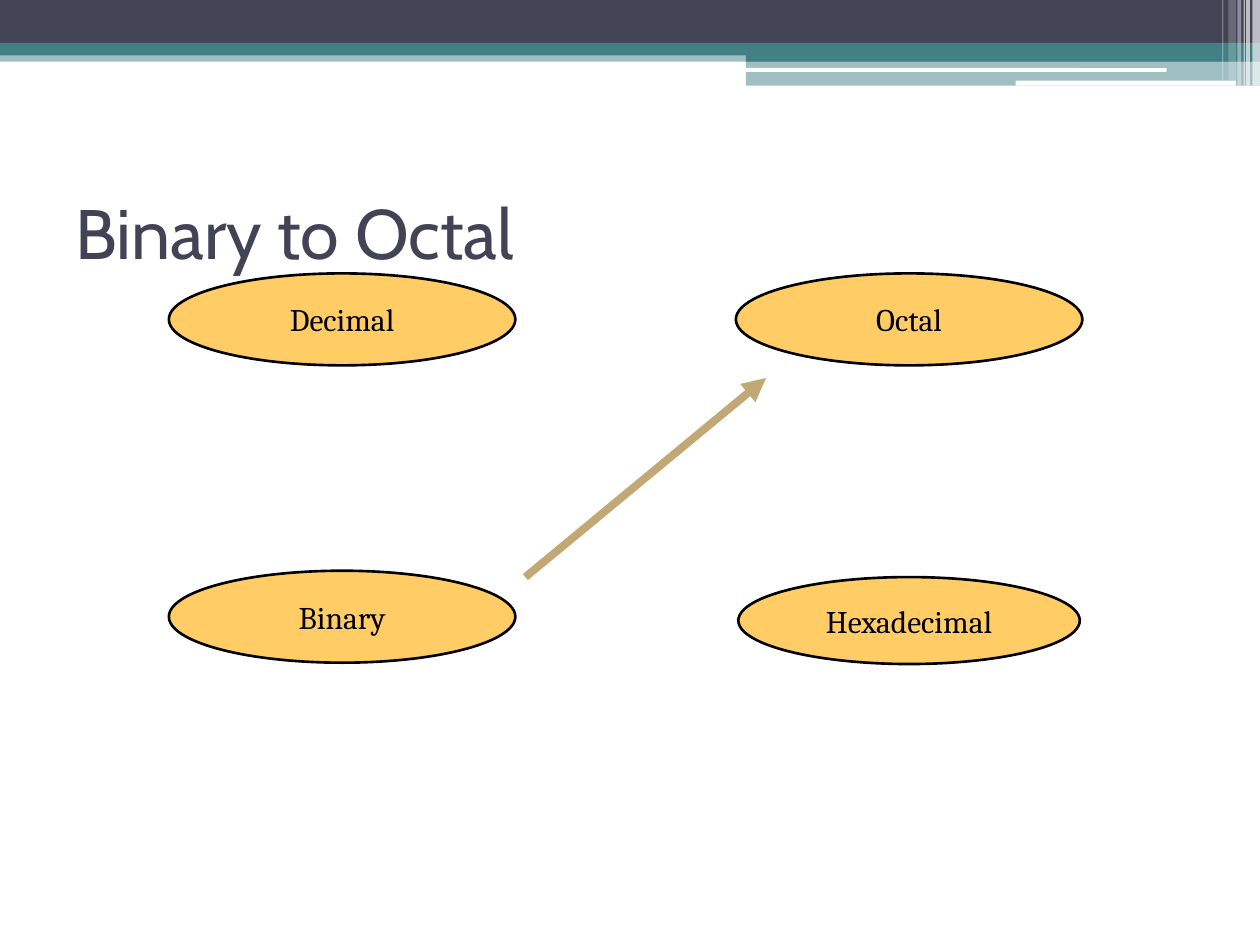
from dataclasses import dataclass

from lxml.etree import SubElement
from pptx import Presentation
from pptx.dml.color import RGBColor
from pptx.enum.shapes import MSO_CONNECTOR, MSO_SHAPE
from pptx.enum.text import MSO_ANCHOR, PP_ALIGN
from pptx.oxml.ns import qn
from pptx.slide import Slide
from pptx.util import Inches, Pt

SLATE = RGBColor(0x42, 0x44, 0x56)
TEAL = RGBColor(0x43, 0x80, 0x86)
WHITE = RGBColor(0xFF, 0xFF, 0xFF)
BLACK = RGBColor(0x00, 0x00, 0x00)
AMBER = RGBColor(0xFF, 0xCC, 0x66)
TAN = RGBColor(0xC2, 0xA8, 0x74)


@dataclass
class Band:
    left: float
    top: float
    width: float
    height: float
    color: RGBColor
    opacity: int = 100
    kind: MSO_SHAPE = MSO_SHAPE.RECTANGLE


@dataclass
class NumberSystem:
    name: str
    left: float
    top: float
    width: float = 2.75
    height: float = 0.73


BANDS = [
    Band(0, 0.4, 10, 0.09, TEAL, 50),
    Band(0, 0, 10, 0.34, SLATE),
    Band(0, 0.34, 10, 0.1, TEAL),
    Band(5.92, 0.39, 4.08, 0.1, TEAL),
    Band(5.92, 0.48, 4.08, 0.2, TEAL, 50),
    Band(5.91, 0.54, 3.35, 0.03, WHITE, kind=MSO_SHAPE.ROUNDED_RECTANGLE),
    Band(8.06, 0.64, 1.75, 0.04, WHITE, kind=MSO_SHAPE.ROUNDED_RECTANGLE),
    Band(9.94, 0, 0.06, 0.68, WHITE, 65),
    Band(9.89, 0, 0.03, 0.68, WHITE, 65),
    Band(9.87, 0, 0.01, 0.68, WHITE, 60),
    Band(9.82, 0, 0.03, 0.68, WHITE, 40),
    Band(9.75, 0, 0.06, 0.64, WHITE, 20),
    Band(9.7, 0, 0.01, 0.64, WHITE, 30),
]

SYSTEMS = [
    NumberSystem("Hexadecimal", 5.86, 4.58, 2.71, 0.69),
    NumberSystem("Decimal", 1.34, 2.17),
    NumberSystem("Octal", 5.84, 2.17),
    NumberSystem("Binary", 1.34, 4.53),
]


def draw_band(page: Slide, band: Band) -> None:
    shape = page.shapes.add_shape(
        band.kind, Inches(band.left), Inches(band.top), Inches(band.width), Inches(band.height)
    )
    shape.shadow.inherit = False
    shape.fill.solid()
    shape.fill.fore_color.rgb = band.color
    shape.line.fill.background()
    if band.opacity < 100:
        color = shape.fill._xPr.find(qn("a:solidFill"))[0]
        SubElement(color, qn("a:alpha"), val=str(band.opacity * 1000))


def draw_title(page: Slide, text: str) -> None:
    box = page.shapes.add_textbox(Inches(0.5), Inches(1.25), Inches(9), Inches(1.17))
    frame = box.text_frame
    frame.word_wrap = True
    frame.vertical_anchor = MSO_ANCHOR.MIDDLE
    para = frame.paragraphs[0]
    para.text = text
    para.font.name = "Cabin"
    para.font.size = Pt(40)
    para.font.color.rgb = SLATE


def draw_system(page: Slide, system: NumberSystem) -> None:
    oval = page.shapes.add_shape(
        MSO_SHAPE.OVAL,
        Inches(system.left), Inches(system.top), Inches(system.width), Inches(system.height),
    )
    oval.shadow.inherit = False
    oval.fill.solid()
    oval.fill.fore_color.rgb = AMBER
    oval.line.color.rgb = BLACK
    oval.line.width = Pt(1.5)
    frame = oval.text_frame
    frame.word_wrap = False
    frame.vertical_anchor = MSO_ANCHOR.MIDDLE
    para = frame.paragraphs[0]
    para.text = system.name
    para.alignment = PP_ALIGN.CENTER
    para.font.name = "Cambria"
    para.font.size = Pt(18)
    para.font.color.rgb = BLACK


def draw_arrow(page: Slide, start: tuple[float, float], end: tuple[float, float]) -> None:
    arrow = page.shapes.add_connector(
        MSO_CONNECTOR.STRAIGHT, *(Inches(value) for value in start + end)
    )
    arrow.line.color.rgb = TAN
    arrow.line.width = Pt(4.5)
    SubElement(arrow.line._get_or_add_ln(), qn("a:tailEnd"), type="triangle")
    SubElement(arrow._element.spPr, qn("a:effectLst"))


def main() -> None:
    deck = Presentation()
    deck.slide_width = Inches(10)
    deck.slide_height = Inches(7.5)
    page = deck.slides.add_slide(deck.slide_layouts[6])
    for band in BANDS:
        draw_band(page, band)
    draw_title(page, "Binary to Octal")
    for system in SYSTEMS:
        draw_system(page, system)
    draw_arrow(page, (4.17, 4.58), (6.08, 3))
    deck.save("out.pptx")


if __name__ == "__main__":
    main()
